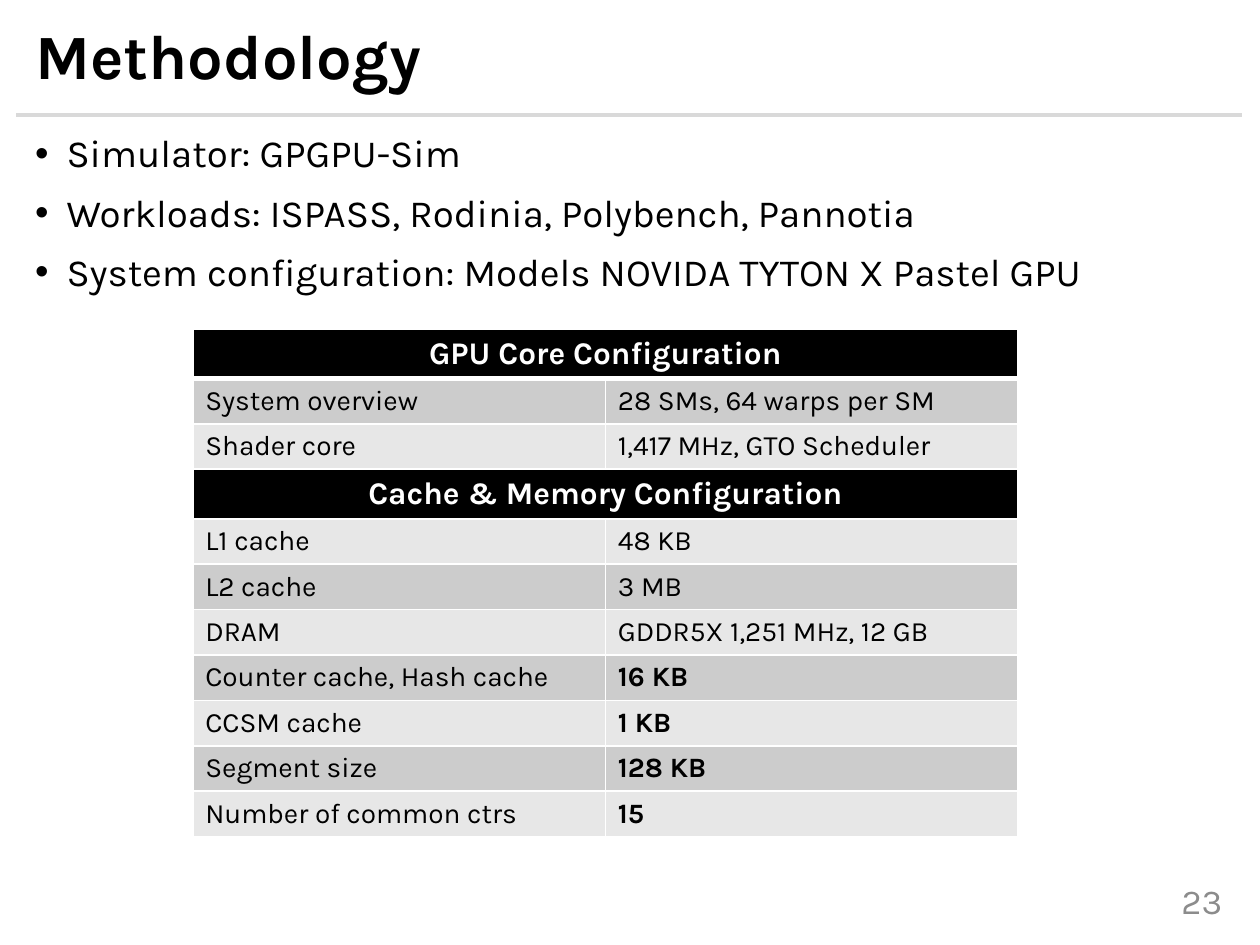
from pptx import Presentation
from pptx.dml.color import RGBColor
from pptx.enum.shapes import MSO_CONNECTOR
from pptx.enum.text import MSO_ANCHOR, MSO_AUTO_SIZE, PP_ALIGN
from pptx.oxml.ns import qn
from pptx.util import Inches, Pt
from lxml import etree

LEFT, MID, RIGHT = PP_ALIGN.LEFT, PP_ALIGN.CENTER, PP_ALIGN.RIGHT
CENTER, TOP = MSO_ANCHOR.MIDDLE, MSO_ANCHOR.TOP
FIXED, LINE = MSO_AUTO_SIZE.NONE, MSO_CONNECTOR.STRAIGHT
FACE = "Karla"
HUES = {"ink": "000000", "white": "FFFFFF", "rule": "D9D9D9",
        "page": "8C8C8C", "dark": "CCCCCC", "light": "E7E7E7"}

TITLE = "Methodology"
PAGE = "23"
POINTS = [
    "Simulator: GPGPU-Sim",
    "Workloads: ISPASS, Rodinia, Polybench, Pannotia",
    "System configuration: Models NOVIDA TYTON X Pastel GPU",
]
ROWS = [
    ("GPU Core Configuration",),
    ("System overview", "28 SMs, 64 warps per SM"),
    ("Shader core", "1,417 MHz, GTO Scheduler"),
    ("Cache & Memory Configuration",),
    ("L1 cache", "48 KB"),
    ("L2 cache", "3 MB"),
    ("DRAM", "GDDR5X 1,251 MHz, 12 GB"),
    ("Counter cache, Hash cache", "16 KB"),
    ("CCSM cache", "1 KB"),
    ("Segment size", "128 KB"),
    ("Number of common ctrs", "15"),
]
BOLD = {"16 KB", "1 KB", "128 KB", "15"}


def color(name):
    """Return the named colour."""
    return RGBColor.from_string(HUES[name])


def style(para, size, hue="ink", bold=False, align=LEFT):
    """Set the font and alignment of a paragraph."""
    font = para.font
    font.name, font.size, font.bold = FACE, Pt(size), bold
    font.color.rgb = color(hue)
    para.alignment = align


def setup(shape, box, anchor):
    """Place a text shape and fix its frame."""
    shape.left, shape.top, shape.width, shape.height = map(Inches, box)
    frame = shape.text_frame
    frame.word_wrap, frame.auto_size = True, FIXED
    frame.vertical_anchor = anchor
    return frame


def bullet(para):
    """Give a paragraph a hanging bullet."""
    props = para._p.get_or_add_pPr()
    props.set("marL", str(Inches(0.25)))
    props.set("indent", str(-Inches(0.25)))
    etree.SubElement(props, qn("a:buFont"), typeface="Arial")
    etree.SubElement(props, qn("a:buChar"), char="•")


def border(cell, top, low):
    """Draw white borders round a cell."""
    props = cell._tc.get_or_add_tcPr()
    for side, width in zip("LRTB", (1, 1, top, low)):
        edge = etree.SubElement(props, qn("a:ln" + side), w=str(Pt(width)))
        fill = etree.SubElement(edge, qn("a:solidFill"))
        etree.SubElement(fill, qn("a:srgbClr"), val=HUES["white"])


def add_list(slide):
    """Add the bulleted points."""
    box = slide.shapes.add_textbox(0, 0, 0, 0)
    frame = setup(box, (0.18, 1.02, 9.73, 1.45), TOP)
    for i, text in enumerate(POINTS):
        para = frame.paragraphs[0] if i == 0 else frame.add_paragraph()
        para.text = text
        bullet(para)
        para.line_spacing = 0.9
        para.space_before = Pt(10 if i else 0)
        style(para, 22)


def add_grid(slide):
    """Add the configuration table."""
    shape = slide.shapes.add_table(
        len(ROWS), 2, Inches(1.53), Inches(2.61), Inches(6.55), Inches(4))
    table = shape.table
    for i, row in enumerate(ROWS):
        head = len(row) == 1
        table.rows[i].height = Inches(0.38 if head else 0.36)
        if head:
            table.cell(i, 0).merge(table.cell(i, 1))
        band = "ink" if head else "dark" if i % 2 else "light"
        for j in range(2):
            cell = table.cell(i, j)
            border(cell, 3 if i == 1 else 1, 3 if i == 0 else 1)
            cell.fill.solid()
            cell.fill.fore_color.rgb = color(band)
            cell.vertical_anchor = CENTER
            if j < len(row):
                cell.text = row[j]
                para = cell.text_frame.paragraphs[0]
                if head:
                    style(para, 18, "white", True, MID)
                else:
                    style(para, 16, bold=row[j] in BOLD)


def main():
    """Build the slide."""
    deck = Presentation()
    deck.slide_width, deck.slide_height = Inches(10), Inches(7.5)
    slide = deck.slides.add_slide(deck.slide_layouts[5])

    frame = setup(slide.shapes.title, (0.18, 0.14, 9.73, 0.66), CENTER)
    frame.text = TITLE
    frame.paragraphs[0].line_spacing = 0.9
    style(frame.paragraphs[0], 36, bold=True)

    rule = slide.shapes.add_connector(
        LINE, Inches(0.13), Inches(0.91), Inches(9.86), Inches(0.91))
    rule.line.color.rgb = color("rule")
    rule.line.width = Pt(2.25)
    etree.SubElement(rule._element.spPr, qn("a:effectLst"))

    add_list(slide)
    add_grid(slide)

    box = slide.shapes.add_textbox(0, 0, 0, 0)
    frame = setup(box, (8.72, 6.95, 1.08, 0.4), CENTER)
    frame.text = PAGE
    style(frame.paragraphs[0], 20, "page", align=RIGHT)
    deck.save("out.pptx")


if __name__ == "__main__":
    main()
